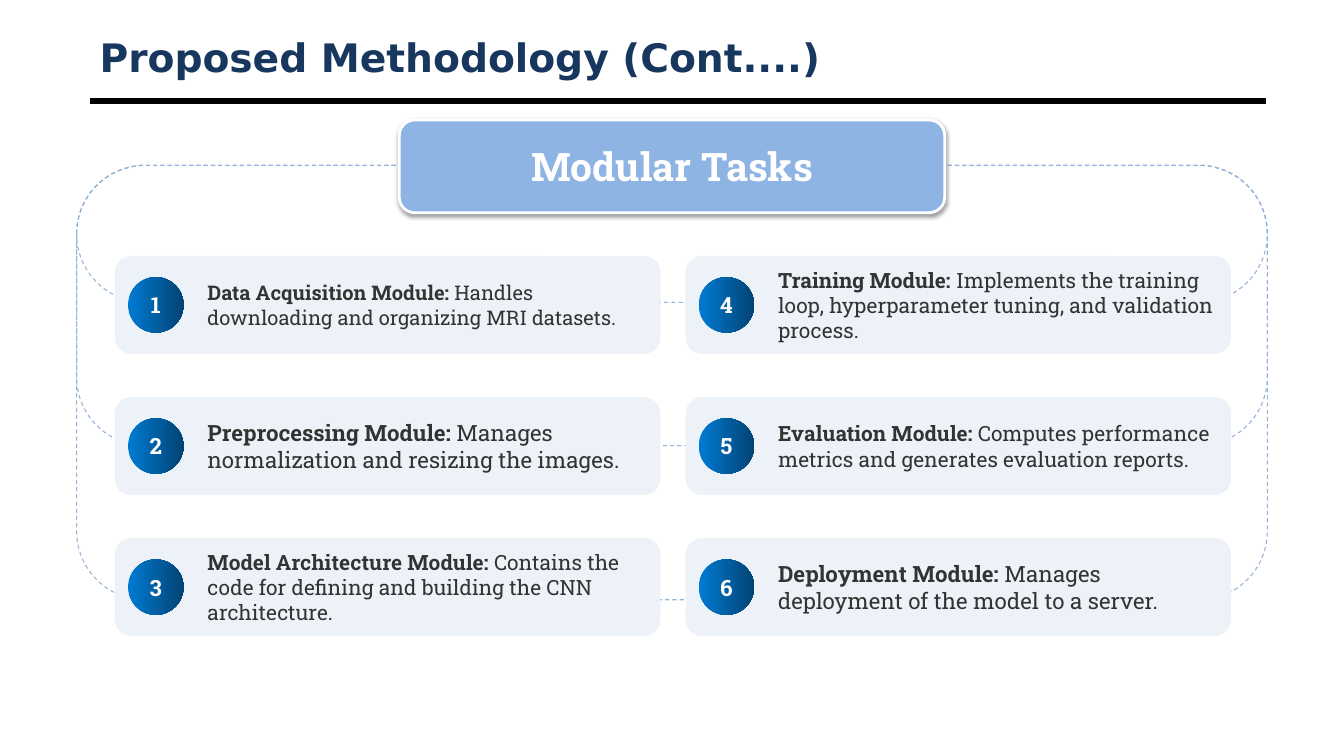
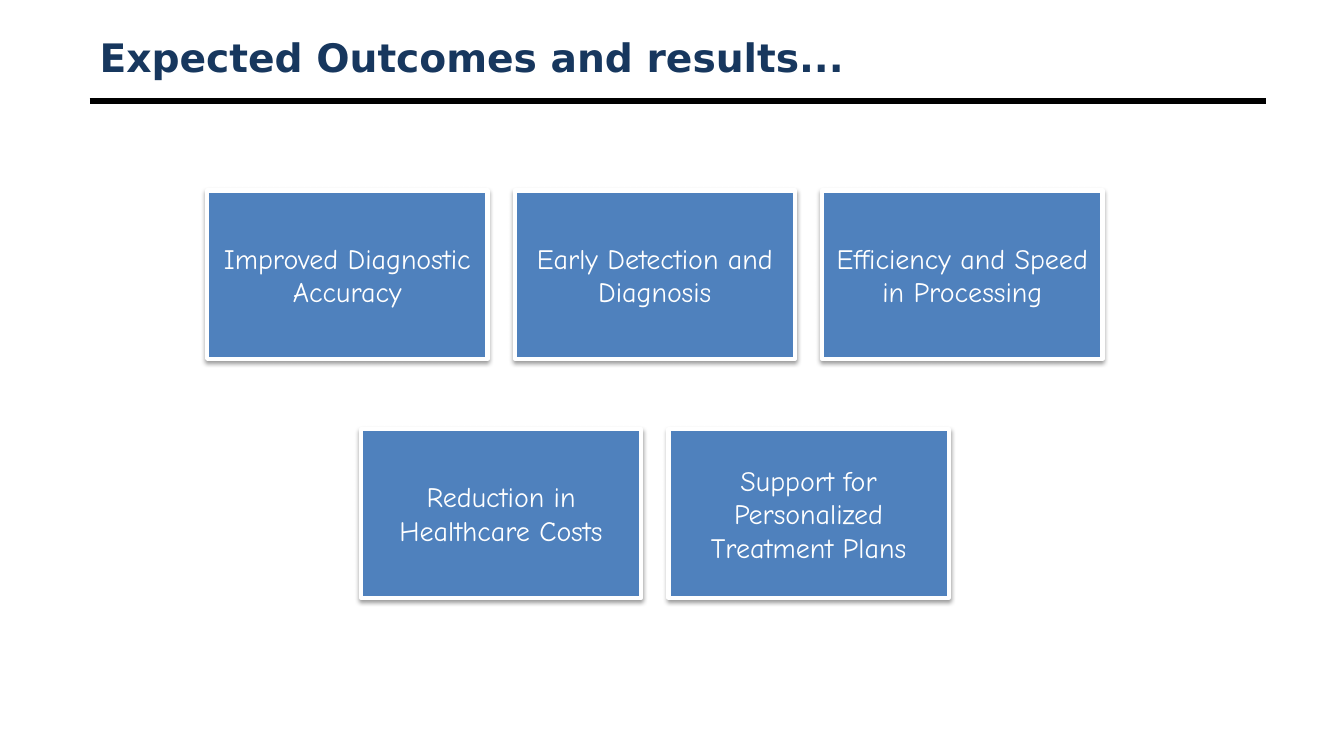
from lxml import etree
from pptx import Presentation
from pptx.dml.color import RGBColor
from pptx.enum import dml, shapes, text
from pptx.oxml import ns
from pptx.util import Inches, Pt

COLORS = {
    "title": "17375E", "rule": "000000", "white": "FFFFFF",
    "track": "95B3D7", "banner": "8EB4E3", "card": "EDF2F8",
    "body": "333333", "badge_left": "007BD3", "badge_right": "034373",
    "outcome": "4F81BD", "shadow": "000000",
}
TITLE_FONT, MODULE_FONT, OUTCOME_FONT = "DejaVu Sans", "Roboto Slab", "Comic Neue"

MODULES = [
    [("Data Acquisition Module:", " Handles downloading and organizing MRI datasets.", 14.4),
     ("Preprocessing Module:", " Manages normalization and resizing the images.", 16),
     ("Model Architecture Module:",
      " Contains the code for defining and building the CNN architecture.", 15)],
    [("Training Module: ",
      "Implements the training loop, hyperparameter tuning, and validation process.", 15),
     ("Evaluation Module: ", "Computes performance metrics and generates evaluation reports.", 15),
     ("Deployment Module:", " Manages deployment of the model to a server.", 16)],
]
OUTCOMES = [
    ["Improved Diagnostic Accuracy", "Early Detection and Diagnosis",
     "Efficiency and Speed in Processing"],
    ["Reduction in Healthcare Costs", "Support for Personalized Treatment Plans"],
]


def rgb(name):
    """Return the named palette colour."""
    return RGBColor.from_string(COLORS[name])


def add_box(slide, kind, box, fill=None, line=None, width=0.75):
    """Add a shadowless preset shape in box (left, top, width, height)."""
    shape = slide.shapes.add_shape(kind, *map(Inches, box))
    shape.shadow.inherit = False
    if fill:
        shape.fill.solid()
        shape.fill.fore_color.rgb = rgb(fill)
    else:
        shape.fill.background()
    if line:
        shape.line.color.rgb = rgb(line)
        shape.line.width = Pt(width)
    else:
        shape.line.fill.background()
    return shape


def add_shadow(shape):
    """Give the shape a soft shadow below it."""
    effects = shape._element.spPr.find(ns.qn("a:effectLst"))
    shadow = etree.SubElement(effects, ns.qn("a:outerShdw"), blurRad=str(Pt(3.1)),
                              dist=str(Pt(1.6)), dir="5400000", rotWithShape="0")
    color = etree.SubElement(shadow, ns.qn("a:srgbClr"), val=COLORS["shadow"])
    etree.SubElement(color, ns.qn("a:alpha"), val="38000")


def write(shape, runs, size, font, color, align=text.PP_ALIGN.CENTER,
          insets=(0.1, 0.05, 0.1, 0.05), wrap=True):
    """Write one paragraph of (wording, bold) runs, centred vertically."""
    frame = shape.text_frame
    frame.word_wrap = wrap
    frame.vertical_anchor = text.MSO_ANCHOR.MIDDLE
    (frame.margin_left, frame.margin_top,
     frame.margin_right, frame.margin_bottom) = map(Inches, insets)
    paragraph = frame.paragraphs[0]
    paragraph.alignment = align
    for wording, bold in runs:
        run = paragraph.add_run()
        run.text = wording
        run.font.name, run.font.size, run.font.bold = font, Pt(size), bold
        run.font.color.rgb = rgb(color)


def add_header(slide, wording, box=(0.89, 0.3, 11.67, 0.53)):
    """Add the slide title and the heavy rule below it."""
    left, top, width, height = box
    title = slide.shapes.add_textbox(*map(Inches, box))
    write(title, [(wording, True)], 28, TITLE_FONT, "title", text.PP_ALIGN.LEFT)
    rule_y = top + height + 0.17
    rule = slide.shapes.add_connector(
        shapes.MSO_CONNECTOR.STRAIGHT,
        *map(Inches, (left, rule_y, left + width, rule_y)))
    rule.line.color.rgb = rgb("rule")
    rule.line.width = Pt(4.5)
    etree.SubElement(rule._element.spPr, ns.qn("a:effectLst"))


def add_tracks(slide, box, heights, radius=0.68):
    """Add nested dashed outlines that link the banner to each row."""
    left, top, width = box
    for height in heights:
        track = add_box(slide, shapes.MSO_SHAPE.ROUNDED_RECTANGLE,
                        (left, top, width, height), line="track")
        track.adjustments[0] = radius / height
        track.line.dash_style = dml.MSO_LINE.DASH


def add_banner(slide, box, wording):
    """Add the heading banner of the module chart."""
    banner = add_box(slide, shapes.MSO_SHAPE.ROUNDED_RECTANGLE, box, "banner", "white", 2)
    add_shadow(banner)
    write(banner, [(wording, True)], 28, MODULE_FONT, "white")


def add_module(slide, box, number, name, task, size):
    """Add a module card with its numbered badge."""
    left, top, _, height = box
    card = add_box(slide, shapes.MSO_SHAPE.ROUNDED_RECTANGLE, box, "card")
    write(card, [(name, True), (task, False)], size, MODULE_FONT, "body",
          text.PP_ALIGN.LEFT, (0.87, 0.05, 0.12, 0.05))
    side = 0.55
    badge = add_box(slide, shapes.MSO_SHAPE.OVAL,
                    (left + 0.13, top + (height - side) / 2, side, side))
    badge.fill.gradient()
    badge.fill.gradient_angle = 0
    for stop, position, color in zip(badge.fill.gradient_stops, (0, 1),
                                     ("badge_left", "badge_right")):
        stop.position = position
        stop.color.rgb = rgb(color)
    write(badge, [(str(number), True)], 16, MODULE_FONT, "white", wrap=False)


def add_module_chart(slide, box):
    """Add the banner, tracks and two columns of modules in box."""
    left, top, width = box
    card_width, card_height = 5.41, 0.97
    add_tracks(slide, (left, top + 0.45, width), (1.36, 2.78, 4.31))
    add_banner(slide, (left + (width - card_width) / 2, top, card_width, 0.92),
               "Modular Tasks")
    number = 0
    for column, modules in enumerate(MODULES):
        for row, module in enumerate(modules):
            number += 1
            card_box = (left + 0.38 + column * 5.66, top + 1.35 + row * 1.4,
                        card_width, card_height)
            add_module(slide, card_box, number, *module)


def add_outcomes(slide, box, gap=0.27):
    """Add rows of outcome tiles, each row centred in box."""
    left, top, width, height = box
    tile_width, tile_height = 2.78, 1.67
    row_pitch = (height - tile_height) / (len(OUTCOMES) - 1)
    for row, outcomes in enumerate(OUTCOMES):
        row_width = len(outcomes) * (tile_width + gap) - gap
        row_left = left + (width - row_width) / 2
        for column, outcome in enumerate(outcomes):
            tile_box = (row_left + column * (tile_width + gap), top + row * row_pitch,
                        tile_width, tile_height)
            tile = add_box(slide, shapes.MSO_SHAPE.RECTANGLE, tile_box,
                           "outcome", "white", 3)
            add_shadow(tile)
            write(tile, [(outcome, False)], 20, OUTCOME_FONT, "white", insets=(0.08,) * 4)


def main():
    """Build and save the two slides."""
    deck = Presentation()
    deck.slide_width, deck.slide_height = Inches(13.33), Inches(7.5)
    blank = deck.slide_layouts[6]

    methodology = deck.slides.add_slide(blank)
    add_header(methodology, "Proposed Methodology (Cont....)")
    add_module_chart(methodology, (0.76, 1.19, 11.81))

    results = deck.slides.add_slide(blank)
    add_header(results, "Expected Outcomes and results...")
    add_outcomes(results, (2.05, 1.89, 8.89, 4.04))

    deck.save("out.pptx")


if __name__ == "__main__":
    main()
